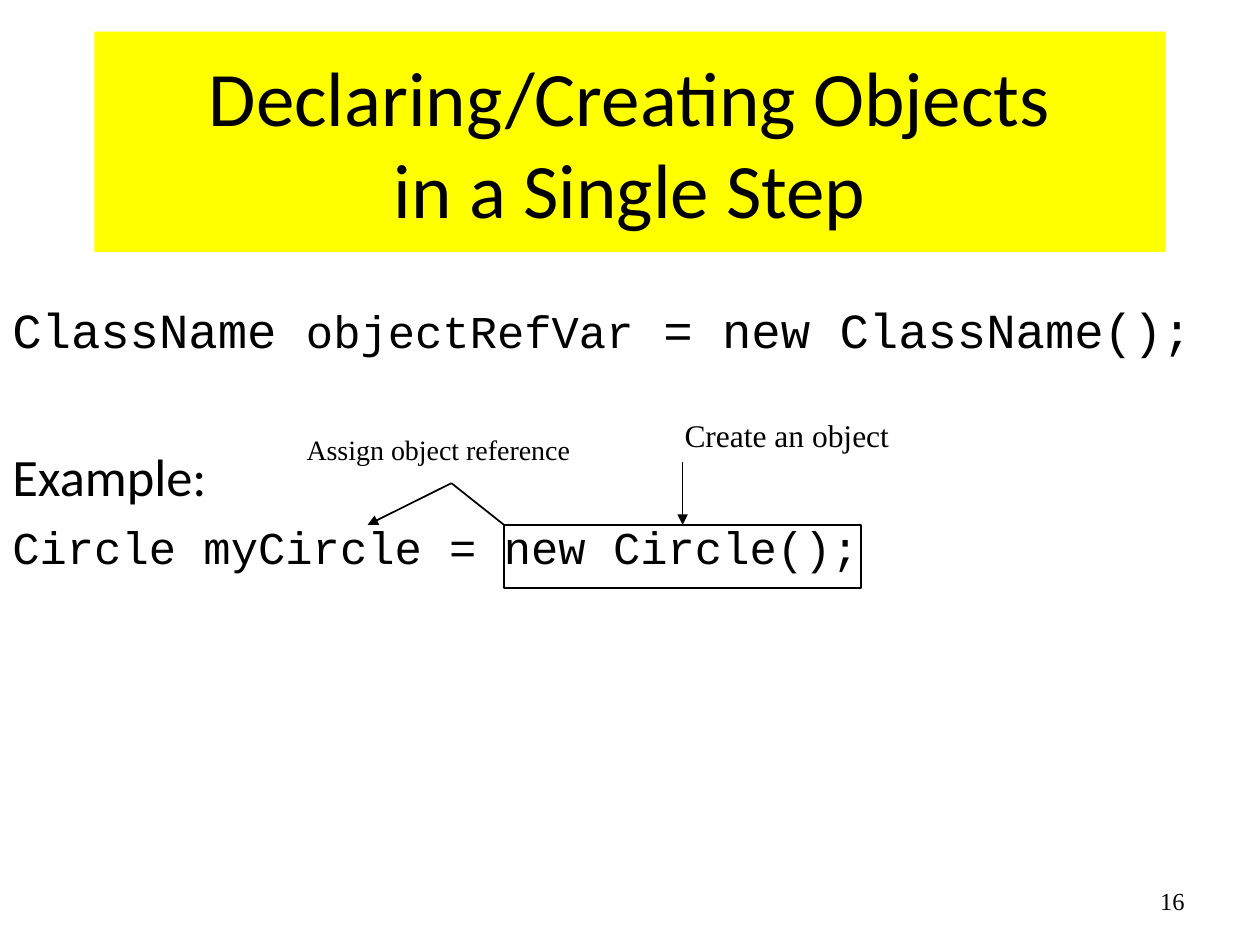
from lxml import etree
from pptx import Presentation, util as u
from pptx.dml.color import RGBColor
from pptx.enum import shapes, text
from pptx.oxml.ns import qn

BLACK, YELLOW = "000000", "FFFF00"


def rgb(value):
    """Turn a hex string into a colour."""
    return RGBColor.from_string(value)


def style(font, name, size):
    """Set the face and size of a black font."""
    font.name = name
    font.size = u.Pt(size)
    font.color.rgb = rgb(BLACK)


prs = Presentation()
prs.slide_width, prs.slide_height = u.Cm(25.4), u.Cm(19.05)
s = prs.slides.add_slide(prs.slide_layouts[5])

# Title
title = s.shapes.title
title.left, title.top = u.Cm(1.9), u.Cm(0.64)
title.width, title.height = u.Cm(21.6), u.Cm(4.44)
title.fill.solid()
title.fill.fore_color.rgb = rgb(YELLOW)
tf = title.text_frame
tf.text = "Declaring/Creating Objects\vin a Single Step"
tf.vertical_anchor = text.MSO_ANCHOR.MIDDLE
p = tf.paragraphs[0]
p.alignment = text.PP_ALIGN.CENTER
style(p.font, "Calibri", 44)
for r in p.runs:
    style(r.font, "Calibri", 44)

# Syntax and example: space before, font, then (text, size) runs
code_lines = [
    (6, "Courier New", [("ClassName ", 28), ("objectRefVar", 26),
                        (" = new ClassName();", 28)]),
    (48.6, "Calibri", [("Example:", 30)]),
    (7, "Courier New", [("Circle myCircle = new Circle();", 26)]),
]
body = s.shapes.add_textbox(u.Cm(0), u.Cm(5.92), u.Cm(27.5), u.Cm(7.2))
tf = body.text_frame
tf.word_wrap = True
for i, (space, face, runs) in enumerate(code_lines):
    p = tf.add_paragraph() if i else tf.paragraphs[0]
    p.space_before = u.Pt(space)
    for words, size in runs:
        r = p.add_run()
        r.text = words
        style(r.font, face, size)

# Box around the constructor call
box = s.shapes.add_shape(shapes.MSO_SHAPE.RECTANGLE,
                         u.Cm(10.16), u.Cm(10.58), u.Cm(7.2), u.Cm(1.27))
box.shadow.inherit = False
box.fill.background()
box.line.color.rgb = rgb(BLACK)
box.line.width = u.Pt(1)

# Pointers: x1, y1, x2, y2, arrowhead at the end
pointers = [
    (13.76, 9.31, 13.76, 10.58, True),
    (10.16, 10.58, 9.1, 9.74, False),
    (9.1, 9.74, 7.41, 10.58, True),
]
for *ends, arrow in pointers:
    line = s.shapes.add_connector(shapes.MSO_CONNECTOR.STRAIGHT,
                                  *[u.Cm(v) for v in ends])
    line.line.color.rgb = rgb(BLACK)
    line.line.width = u.Pt(1)
    if arrow:
        etree.SubElement(line.line._get_or_add_ln(), qn("a:tailEnd"),
                         type="triangle")
    etree.SubElement(line._element.spPr, qn("a:effectLst"))

# Labels and page number: text, left, top, width, height, size, anchor, align
left, right = text.PP_ALIGN.LEFT, text.PP_ALIGN.RIGHT
top, middle, bottom = (text.MSO_ANCHOR.TOP, text.MSO_ANCHOR.MIDDLE,
                       text.MSO_ANCHOR.BOTTOM)
labels = [
    ("Create an object", 13.55, 8.26, 4.65, 1.02, 18, top, left),
    ("Assign object reference", 5.93, 8.26, 6.07, 1.27, 16, bottom, left),
    ("16", 18.2, 17.65, 5.93, 1.02, 14, middle, right),
]
for words, x, y, w, h, size, anchor, align in labels:
    label = s.shapes.add_textbox(u.Cm(x), u.Cm(y), u.Cm(w), u.Cm(h))
    tf = label.text_frame
    tf.word_wrap = True
    tf.vertical_anchor = anchor
    p = tf.paragraphs[0]
    p.text = words
    p.alignment = align
    style(p.font, "Times New Roman", size)

prs.save("out.pptx")
